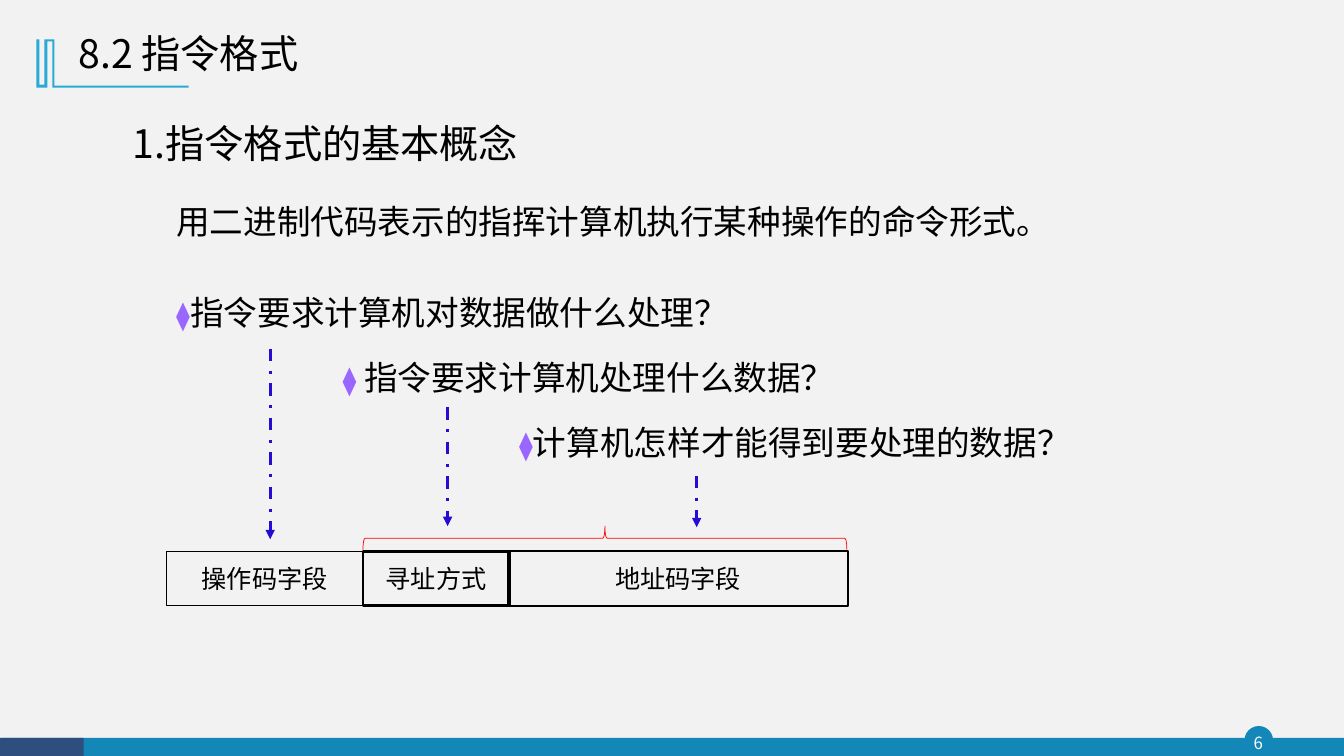
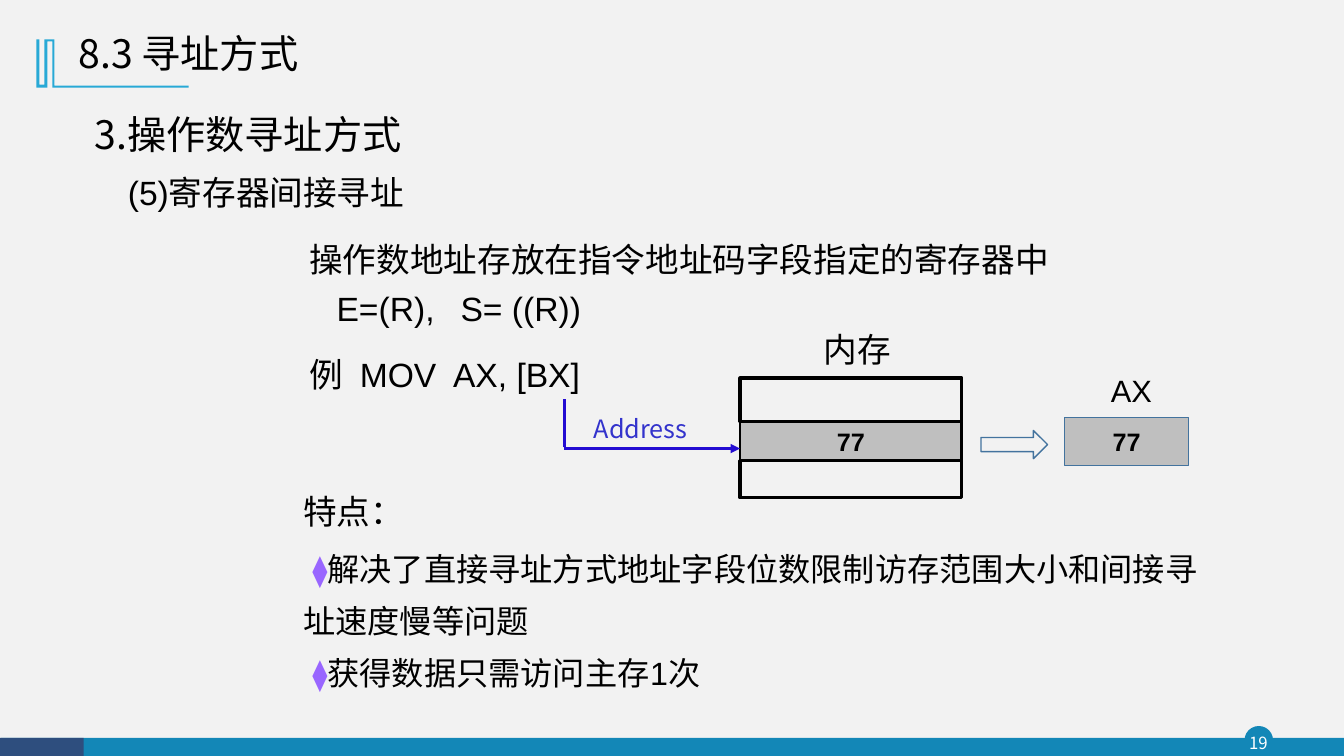
from lxml.etree import SubElement
from pptx import Presentation
from pptx.dml.color import RGBColor
from pptx.enum.dml import MSO_LINE
from pptx.enum.shapes import MSO_CONNECTOR, MSO_SHAPE
from pptx.enum.text import MSO_ANCHOR, PP_ALIGN
from pptx.oxml.ns import qn
from pptx.util import Inches, Pt

SANS, ARIAL = "Noto Sans CJK SC", "Arial"
BLACK, BLUE, NAVY, SKY = "000000", "1387B7", "2E4E7E", "28A9D6"
INK, STEEL, GREY, MARK = "240CD2", "43739E", "BFBFBF", "9966FF"
hue = RGBColor.from_string


def draw(slide, kind, at, fill=None, line=None, width=1):
    """Add a preset shape, or a wrapping text box when kind is None."""
    at = [Inches(v) for v in at]
    if kind is None:
        shape = slide.shapes.add_textbox(*at)
        shape.text_frame.word_wrap = True
        return shape
    shape = slide.shapes.add_shape(kind, *at)
    shape.shadow.inherit = False
    if fill:
        shape.fill.solid()
        shape.fill.fore_color.rgb = hue(fill)
    else:
        shape.fill.background()
    if line:
        shape.line.color.rgb = hue(line)
        shape.line.width = Pt(width)
    else:
        shape.line.fill.background()
    return shape


def write(shape, text, size, font=ARIAL, color=BLACK, mid=False, bold=False, mark=None):
    """Fill a shape with text; mark is the size of a leading diamond."""
    frame = shape.text_frame
    frame.text = "⧫" if mark else text
    if mark:
        frame.paragraphs[0].add_run().text = text
    if mid:
        frame.vertical_anchor = MSO_ANCHOR.MIDDLE
    for para in frame.paragraphs:
        para.alignment = PP_ALIGN.CENTER if mid else PP_ALIGN.LEFT
        for run in para.runs:
            gem = run.text == "⧫"
            run.font.size = Pt(mark if gem else size)
            run.font.color.rgb = hue(MARK if gem else color)
            run.font.name = SANS if gem else font
            run.font.bold = bold
            SubElement(run._r.get_or_add_rPr(), qn("a:ea"), typeface=SANS)
    return frame


deck = Presentation()
deck.slide_width, deck.slide_height = Inches(13.33), Inches(7.5)
back = deck.slide_master.background.fill
back.solid()
back.fore_color.rgb = hue("F2F2F2")

# Shared frame: footer, page number, title mark and title
RECT = MSO_SHAPE.RECTANGLE
HOOK = [(0.54, 0.39), (0.54, 0.85), (1.87, 0.85), (1.87, 0.87), (0.52, 0.87),
        (0.52, 0.41), (0.47, 0.41), (0.47, 0.87), (0.36, 0.87), (0.36, 0.39),
        (0.39, 0.39), (0.39, 0.84), (0.44, 0.84), (0.44, 0.39)]
slides = []
for title, page in [("8.2 指令格式", "6"), ("8.3 寻址方式", "19")]:
    slide = deck.slides.add_slide(deck.slide_layouts[6])
    slides.append(slide)
    draw(slide, MSO_SHAPE.OVAL, (12.35, 7.21, 0.27, 0.27), BLUE, BLUE)
    draw(slide, RECT, (0.01, 7.32, 13.32, 0.19), BLUE)
    draw(slide, RECT, (0, 7.32, 0.83, 0.19), NAVY)
    frame = write(draw(slide, None, (12.32, 7.21, 0.32, 0.31)), page, 12, SANS, "FFFFFF", True)
    frame.margin_left = frame.margin_right = frame.margin_top = frame.margin_bottom = 0

    dots = [(Inches(x), Inches(y)) for x, y in HOOK]
    form = slide.shapes.build_freeform(*dots[0])
    form.add_line_segments(dots[1:], close=True)
    hook = form.convert_to_shape()
    hook.shadow.inherit = False
    hook.fill.solid()
    hook.fill.fore_color.rgb = hue(SKY)
    hook.line.fill.background()

    frame = write(draw(slide, None, (0.68, 0.21, 4.01, 0.68)), title, 28, SANS)
    frame.vertical_anchor = MSO_ANCHOR.MIDDLE
    frame.paragraphs[0].line_spacing = 0.9
one, two = slides

# Slide 1: heading, definition and three questions
write(draw(one, None, (1.22, 1.13, 4.29, 0.57)), "1.指令格式的基本概念", 28, SANS)
write(draw(one, None, (1.65, 1.94, 11.5, 0.58)),
      "用二进制代码表示的指挥计算机执行某种操作的命令形式。", 24)
for left, top, text in [(1.65, 2.85, "指令要求计算机对数据做什么处理？"),
                        (3.3, 3.49, " 指令要求计算机处理什么数据？"),
                        (5.05, 4.14, "计算机怎样才能得到要处理的数据？")]:
    write(draw(one, None, (left, top, 6.5, 0.6)), text, 24, mark=20)

# Slide 1: instruction fields under a brace
for left, wide, text, width in [(1.65, 1.95, "操作码字段", 1),
                                (5.04, 3.37, "地址码字段", 1.5),
                                (3.6, 1.45, "寻址方式", 2)]:
    field = draw(one, RECT, (left, 5.47, wide, 0.54), None, BLACK, width)
    write(field, text, 18, SANS, mid=True)
brace = draw(one, MSO_SHAPE.RIGHT_BRACE, (5.88, 2.94, 0.24, 4.8), None, "FF0000", 0.5)
brace.rotation = 270

# Slide 2: headings and formula
write(draw(two, None, (0.84, 1.05, 3.85, 0.57)), "3.操作数寻址方式", 28, SANS)
write(draw(two, None, (1.17, 1.66, 3.5, 0.5)), "(5)寄存器间接寻址", 24)
rule = write(draw(two, None, (2.97, 2.32, 8.74, 0.98)),
             "操作数地址存放在指令地址码字段指定的寄存器中\nE=(R),\tS= ((R))", 24).paragraphs[1]
rule.space_before = Pt(6)
case = write(draw(two, None, (2.97, 3.42, 4, 0.69)), "例\tMOV  AX, [BX]", 24).paragraphs[0]
case.line_spacing = 1.1
for para, start, stop in [(rule, 0.27, 1.61), (case, 0, 0.65)]:
    props = para._p.get_or_add_pPr()
    props.set("indent", str(Inches(start)))
    tabs = SubElement(props, qn("a:tabLst"))
    SubElement(tabs, qn("a:tab"), pos=str(Inches(stop)), algn="l")

# Slide 2: features
write(draw(two, None, (2.91, 4.82, 3.69, 0.54)), "特点：", 24)
for top, high, text in [
        (5.27, 0.97, "解决了直接寻址方式地址字段位数限制访存范围大小和间接寻址速度慢等问题"),
        (6.43, 0.48, "获得数据只需访问主存1次")]:
    para = write(draw(two, None, (2.91, top, 9.23, high)), text, 23, mark=22).paragraphs[0]
    para._p.get_or_add_pPr().set("indent", str(Inches(0.09)))
    if high > 0.5:
        para.line_spacing = Pt(37)

# Slide 2: memory cells and register
for top, high, fill, width in [(3.75, 0.43, None, 2.25), (4.57, 0.37, None, 2.25),
                               (4.18, 0.39, GREY, 2)]:
    cell = draw(two, RECT, (7.34, top, 2.2, high), fill, BLACK, width)
store = draw(two, RECT, (10.56, 4.14, 1.23, 0.48), GREY, STEEL)
for shape in (cell, store):
    write(shape, "77", 18, mid=True, bold=True)
draw(two, MSO_SHAPE.RIGHT_ARROW, (9.73, 4.27, 0.66, 0.28), None, STEEL)
frame = write(draw(two, None, (7.94, 3.21, 1.13, 0.5)), "内存", 24, mid=True)
frame.vertical_anchor = MSO_ANCHOR.TOP
write(draw(two, None, (10.92, 3.64, 0.71, 0.47)), "AX", 22)
write(draw(two, None, (5.79, 4.05, 1.32, 0.4)), "Address", 18, SANS, "3333CC")

# Lines and arrows on both slides
for slide, ends, dash, head in [(one, (2.68, 3.46, 2.68, 5.35), True, True),
                                (one, (4.44, 4.04, 4.44, 5.22), True, True),
                                (one, (6.91, 4.72, 6.91, 5.23), True, True),
                                (two, (5.59, 4.45, 7.34, 4.45), False, True),
                                (two, (5.6, 4.43, 5.6, 3.96), False, False)]:
    wire = slide.shapes.add_connector(MSO_CONNECTOR.STRAIGHT, *[Inches(v) for v in ends])
    wire.line.color.rgb = hue(INK)
    wire.line.width = Pt(2.25)
    if dash:
        wire.line.dash_style = MSO_LINE.DASH_DOT
    if head:
        SubElement(wire.line._get_or_add_ln(), qn("a:tailEnd"), type="triangle")
    SubElement(wire._element.spPr, qn("a:effectLst"))

deck.save("out.pptx")
